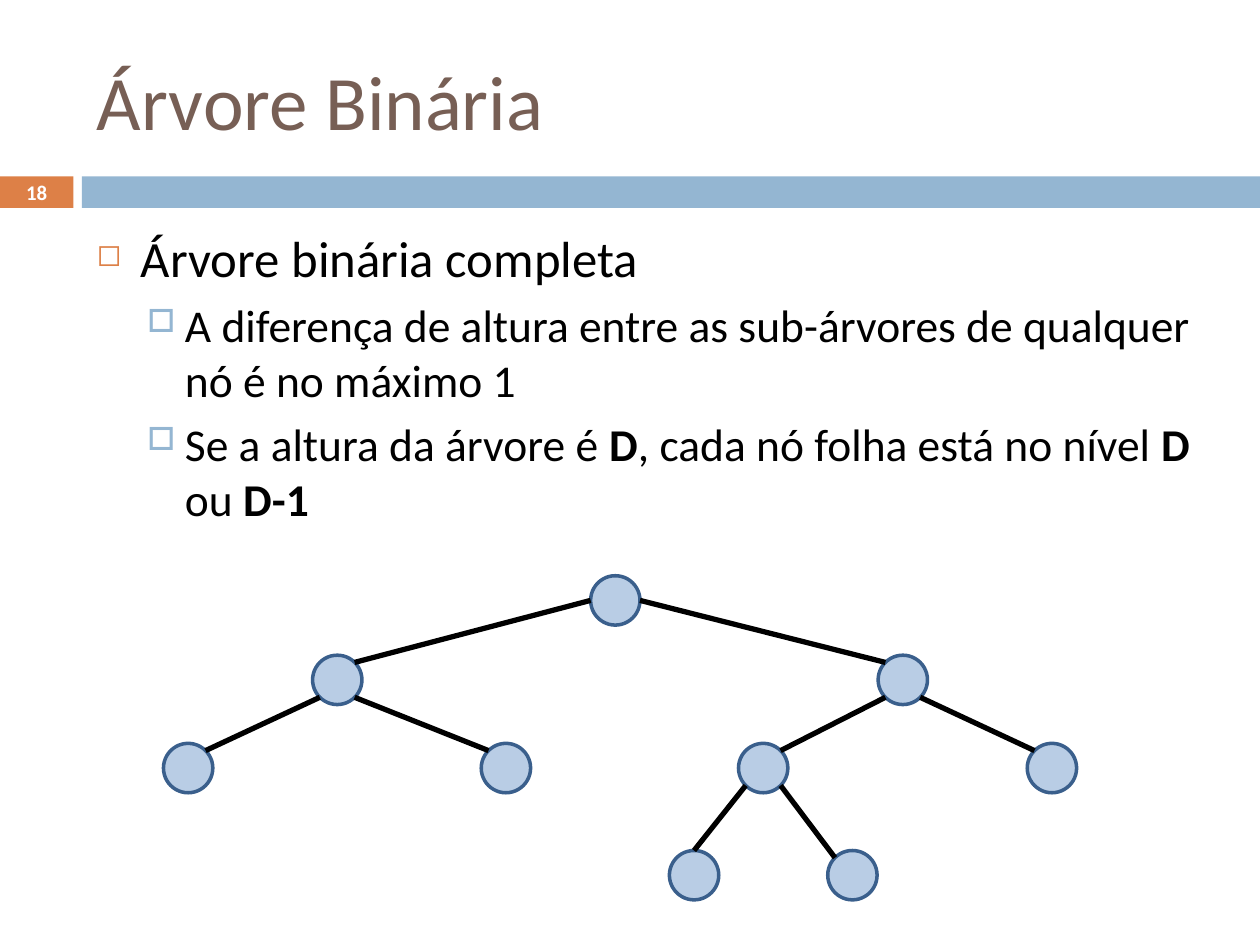
from math import sqrt
from pptx import Presentation
from pptx.dml.color import RGBColor
from pptx.enum.shapes import MSO_CONNECTOR, MSO_SHAPE
from pptx.enum.text import MSO_ANCHOR, PP_ALIGN
from pptx.oxml.ns import qn
from pptx.util import Pt
from lxml.etree import SubElement

FONT = "Calibri"
COLORS = {
    "orange": "DD8047", "blue": "94B6D2", "title": "775F55", "white": "FFFFFF",
    "black": "000000", "node": "B9CDE5", "outline": "3A5F8C",
}
TITLE = "Árvore Binária"
PAGE_NUMBER = "18"
BODY = [
    (0, [("Árvore binária completa", False)]),
    (1, [("A diferença de altura entre as sub-árvores de qualquer nó é no máximo 1", False)]),
    (1, [("Se a altura da árvore é ", False), ("D", True),
         (", cada nó folha está no nível ", False), ("D ", True),
         ("ou ", False), ("D-1", True)]),
]
LEVELS = [
    {"size": 29, "margin": 25.2, "indent": -25.2, "before": 0,
     "bullet": "◻", "color": "orange", "scale": 60},
    {"size": 26, "margin": 50.4, "indent": -21.6, "before": 5.5,
     "bullet": "□", "color": "blue", "scale": 70},
]

NODE_SIZE = 28.2
ROW_TOPS = [329, 374.4, 424.8, 486]
NODES = {
    "root": (0, 337.5), "left": (1, 178.6), "right": (1, 501.8),
    "left left": (2, 93.4), "left right": (2, 275),
    "right left": (2, 422), "right right": (2, 587),
    "deep left": (3, 382.5), "deep right": (3, 473),
}
EDGES = [
    ("root", "w", "left", "ne"), ("root", "e", "right", "nw"),
    ("left", "sw", "left left", "ne"), ("left", "se", "left right", "nw"),
    ("right", "sw", "right left", "ne"), ("right", "se", "right right", "nw"),
    ("right left", "sw", "deep left", "n"), ("right left", "se", "deep right", "nw"),
]


def rgb(name):
    return RGBColor.from_string(COLORS[name])


def style_font(font, size, color, bold=False):
    font.name, font.size, font.bold = FONT, Pt(size), bold
    font.color.rgb = rgb(color)


def add_shape(page, kind, bounds, fill, line=None):
    shape = page.shapes.add_shape(kind, *map(Pt, bounds))
    shape.shadow.inherit = False
    shape.fill.solid()
    shape.fill.fore_color.rgb = rgb(fill)
    if line:
        shape.line.color.rgb = rgb(line)
        shape.line.width = Pt(2)
    else:
        shape.line.fill.background()
    return shape


def add_bullet(paragraph, level):
    properties = paragraph._p.get_or_add_pPr()
    properties.set("marL", str(Pt(level["margin"])))
    properties.set("indent", str(Pt(level["indent"])))
    color = SubElement(properties, qn("a:buClr"))
    SubElement(color, qn("a:srgbClr"), val=COLORS[level["color"]])
    SubElement(properties, qn("a:buSzPct"), val=str(level["scale"] * 1000))
    SubElement(properties, qn("a:buChar"), char=level["bullet"])


def add_header(page):
    add_shape(page, MSO_SHAPE.RECTANGLE, (46.8, 100.8, 673.2, 18), "blue")
    badge = add_shape(page, MSO_SHAPE.RECTANGLE, (0, 100.8, 42, 18), "orange")
    frame = badge.text_frame
    frame.margin_left = frame.margin_right = frame.margin_top = frame.margin_bottom = 0
    frame.vertical_anchor = MSO_ANCHOR.MIDDLE
    frame.text = PAGE_NUMBER
    frame.paragraphs[0].alignment = PP_ALIGN.CENTER
    style_font(frame.paragraphs[0].runs[0].font, 11.9, "white", True)

    title = page.shapes.title
    title.left, title.top, title.width, title.height = map(Pt, (48.2, 18, 642.2, 77.8))
    title.text_frame.text = TITLE
    title.text_frame.vertical_anchor = MSO_ANCHOR.MIDDLE
    paragraph = title.text_frame.paragraphs[0]
    paragraph.alignment = PP_ALIGN.LEFT
    style_font(paragraph.runs[0].font, 44, "title")


def add_body(page):
    box = page.shapes.add_textbox(*map(Pt, (48.2, 126, 642.2, 190)))
    frame = box.text_frame
    frame.word_wrap = True
    for index, (depth, spans) in enumerate(BODY):
        level = LEVELS[depth]
        paragraph = frame.add_paragraph() if index else frame.paragraphs[0]
        paragraph.level = depth
        add_bullet(paragraph, level)
        paragraph.space_before = Pt(level["before"])
        for text, bold in spans:
            span = paragraph.add_run()
            span.text = text
            style_font(span.font, level["size"], "black", bold)


def rim_point(node, direction):
    row, left = NODES[node]
    across = ("e" in direction) - ("w" in direction)
    down = ("s" in direction) - ("n" in direction)
    reach = NODE_SIZE / 2 / sqrt(len(direction))
    return (Pt(left + NODE_SIZE / 2 + across * reach),
            Pt(ROW_TOPS[row] + NODE_SIZE / 2 + down * reach))


def add_tree(page):
    for row, left in NODES.values():
        add_shape(page, MSO_SHAPE.OVAL, (left, ROW_TOPS[row], NODE_SIZE, NODE_SIZE),
                  "node", "outline")
    for parent, start, child, end in EDGES:
        edge = page.shapes.add_connector(
            MSO_CONNECTOR.STRAIGHT, *rim_point(parent, start), *rim_point(child, end))
        edge.line.color.rgb = rgb("black")
        edge.line.width = Pt(3)
        SubElement(edge._element.spPr, qn("a:effectLst"))


def main():
    """Build the binary tree slide."""
    deck = Presentation()
    deck.slide_width, deck.slide_height = Pt(720), Pt(540)
    page = deck.slides.add_slide(deck.slide_layouts[5])
    add_header(page)
    add_body(page)
    add_tree(page)
    deck.save("out.pptx")


if __name__ == "__main__":
    main()
